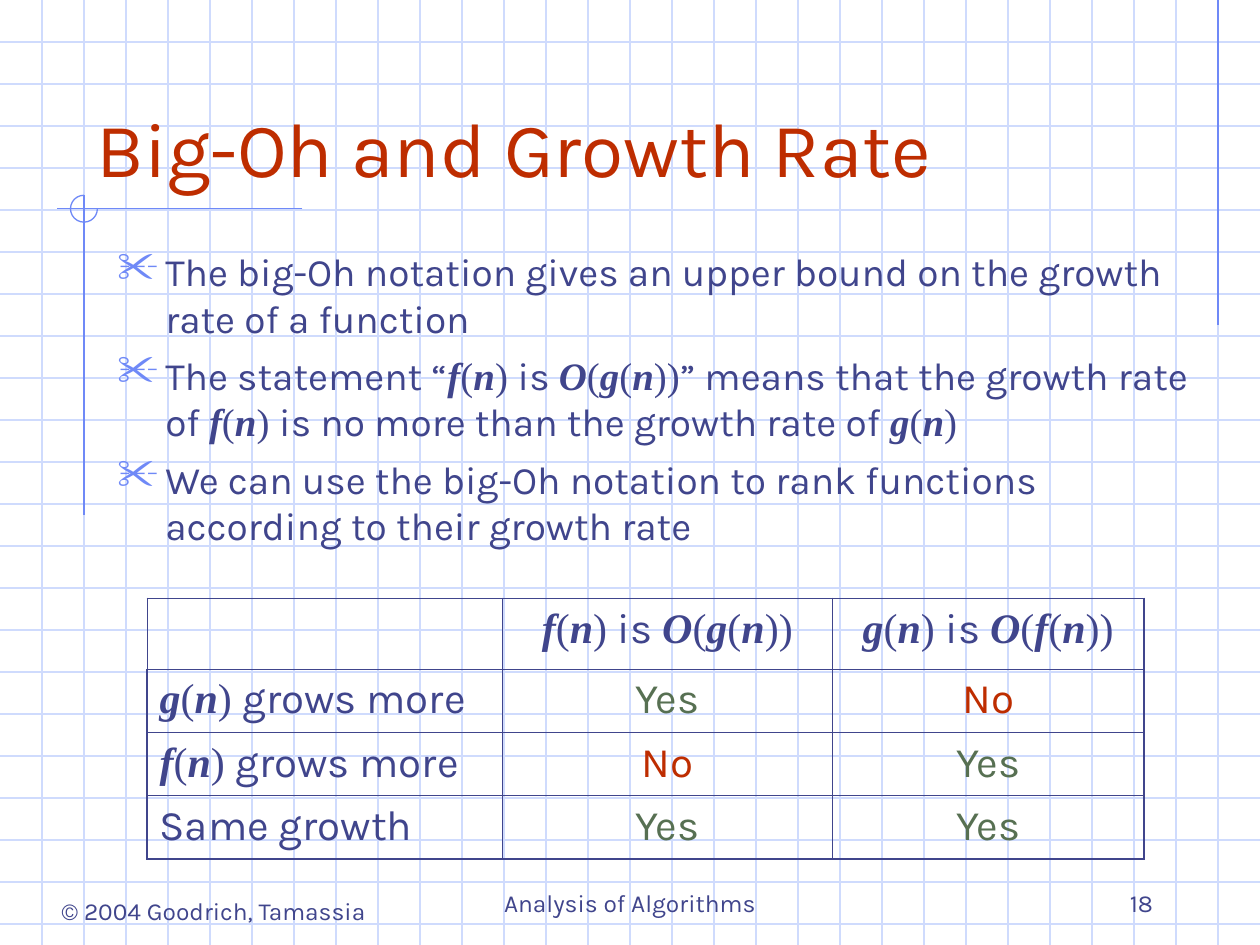
from itertools import groupby

from lxml import etree
from pptx import Presentation
from pptx.dml.color import RGBColor
from pptx.enum.shapes import MSO_CONNECTOR, MSO_SHAPE
from pptx.enum.text import MSO_ANCHOR, PP_ALIGN
from pptx.oxml.ns import qn
from pptx.util import Inches, Pt

LEFT, CENTER, RIGHT = PP_ALIGN.LEFT, PP_ALIGN.CENTER, PP_ALIGN.RIGHT
TOP, BOTTOM = MSO_ANCHOR.TOP, MSO_ANCHOR.BOTTOM
STRAIGHT, ARC = MSO_CONNECTOR.STRAIGHT, MSO_SHAPE.ARC

GRID_BLUE = RGBColor(0xCF, 0xDB, 0xFD)
ACCENT = RGBColor(0x6F, 0x89, 0xF7)
INK = RGBColor(0x40, 0x45, 0x8C)
RED = RGBColor(0xBE, 0x2D, 0x00)
GREEN = RGBColor(0x57, 0x70, 0x52)

# The page is squared paper: three squares to the inch
COLUMNS, ROWS = 30, 22.5


def squares(count):
    return Inches(count / 3)


class SquaredPage:
    font, math_font = "Karla", "Times New Roman"
    hairline, thin, thick = 0.75, 0.45, 1.08

    def __init__(self, page):
        self.page = page

    def line(self, x1, y1, x2, y2, color=ACCENT):
        line = self.page.shapes.add_connector(
            STRAIGHT, squares(x1), squares(y1), squares(x2), squares(y2))
        line.line.color.rgb = color
        line.line.width = Pt(self.hairline)
        etree.SubElement(line._element.spPr, qn("a:effectLst"))

    def arc(self, x, y, size, start, end):
        arc = self.page.shapes.add_shape(
            ARC, squares(x), squares(y), squares(size), squares(size))
        # Angles are kept in 60000ths of a degree, adjustments in 100000ths
        arc.adjustments[0], arc.adjustments[1] = start * 0.6, end * 0.6
        arc.shadow.inherit = False
        arc.fill.background()
        arc.line.color.rgb = ACCENT
        arc.line.width = Pt(self.hairline)

    def add_spans(self, para, text, size, color):
        """Parts between $ signs are formulas: bold italic letters, plain signs."""
        for index, part in enumerate(text.split("$")):
            is_math = index % 2 == 1
            pieces = groupby(part, str.isalpha) if is_math else [(False, part)]
            for is_letter, piece in pieces:
                piece = "".join(piece)
                if not piece:
                    continue
                span = para.add_run()
                span.text = piece
                span.font.name = self.math_font if is_math else self.font
                span.font.size = Pt(size)
                span.font.color.rgb = color
                span.font.bold = span.font.italic = is_letter

    def text(self, x, y, width, height, text, size, color=INK,
             align=LEFT, anchor=BOTTOM, wrap=True):
        box = self.page.shapes.add_textbox(
            squares(x), squares(y), squares(width), squares(height))
        frame = box.text_frame
        frame.word_wrap = wrap
        frame.vertical_anchor = anchor
        para = frame.paragraphs[0]
        para.alignment = align
        self.add_spans(para, text, size, color)
        return frame

    def bullets(self, x, y, width, height, items, size):
        frame = self.text(x, y, width, height, items[0], size, anchor=TOP)
        for item in items[1:]:
            self.add_spans(frame.add_paragraph(), item, size, INK)
        for para in frame.paragraphs:
            para.space_before = Pt(6)
            props = para._p.get_or_add_pPr()
            props.set("marL", str(Inches(0.38)))
            props.set("indent", str(-Inches(0.38)))
            bullet_color = etree.SubElement(props, qn("a:buClr"))
            etree.SubElement(bullet_color, qn("a:srgbClr"), val=str(ACCENT))
            etree.SubElement(props, qn("a:buSzPct"), val="110000")
            etree.SubElement(props, qn("a:buChar"), char="✂")

    def border(self, cell, side, width):
        edge = etree.SubElement(cell._tc.get_or_add_tcPr(), qn("a:ln" + side),
                                w=str(Pt(width)))
        fill = etree.SubElement(edge, qn("a:solidFill"))
        etree.SubElement(fill, qn("a:srgbClr"), val=str(INK))

    def table(self, x, y, widths, heights, rows, size, colors):
        table = self.page.shapes.add_table(
            len(heights), len(widths), squares(x), squares(y),
            squares(sum(widths)), squares(sum(heights))).table
        table.first_row = table.horz_banding = False
        for column, width in zip(table.columns, widths):
            column.width = squares(width)
        for row, height in zip(table.rows, heights):
            row.height = squares(height)
        last_row, last_column = len(heights) - 1, len(widths) - 1
        for r, row in enumerate(rows):
            for c, text in enumerate(row):
                cell = table.cell(r, c)
                para = cell.text_frame.paragraphs[0]
                para.alignment = CENTER if c else LEFT
                para.space_before = Pt(6)
                self.add_spans(para, text, size, colors.get(text, INK))
                # Outer edges are thick, except beside the empty corner
                outer = {"L": c == 0 and r > 0, "R": c == last_column,
                         "T": r == 0, "B": r == last_row}
                for side, is_outer in outer.items():
                    self.border(cell, side, self.thick if is_outer else self.thin)
                cell.fill.background()


def main():
    deck = Presentation()
    deck.slide_width, deck.slide_height = squares(COLUMNS), squares(ROWS)
    sheet = SquaredPage(deck.slides.add_slide(deck.slide_layouts[6]))

    # Squared paper
    for row in range(1, int(ROWS) + 1):
        sheet.line(0, row, COLUMNS, row, GRID_BLUE)
    for column in range(1, COLUMNS):
        sheet.line(column, 0, column, ROWS, GRID_BLUE)

    # Margin lines and the ring where they cross
    sheet.line(29, 0, 29, 7.75)
    sheet.line(7.2, 4.97, 1.36, 4.97)
    sheet.line(2, 4.65, 2, 12.27)
    sheet.arc(1.68, 4.65, 0.64, 0, 270)

    # Footer
    sheet.text(1.02, 21.18, 8.13, 1.02, "© 2004 Goodrich, Tamassia", 14,
               align=CENTER, anchor=TOP, wrap=False)
    sheet.text(10.25, 20.5, 9.5, 1.5, "Analysis of Algorithms", 14, align=CENTER)
    sheet.text(21.5, 20.5, 6.25, 1.5, "18", 14, align=RIGHT)

    # Title and body
    sheet.text(2, 1, 25.5, 3.75, "Big-Oh and Growth Rate", 44, RED)
    sheet.bullets(2.5, 5.75, 26.25, 8.5, [
        "The big-Oh notation gives an upper bound on the growth rate of a function",
        "The statement “$f(n) $is $O(g(n))$” means that the growth rate of "
        "$f(n) $is no more than the growth rate of $g(n)$",
        "We can use the big-Oh notation to rank functions according to their "
        "growth rate",
    ], 22.2)

    # Comparison of growth rates
    sheet.table(3.5, 14.25, [8.46, 7.86, 7.42], [1.68, 1.51, 1.51, 1.51], [
        ["", "$f(n) $is $O(g(n))$", "$g(n) $is $O(f(n))$"],
        ["$g(n) $grows more", "Yes", "No"],
        ["$f(n) $grows more", "No", "Yes"],
        ["Same growth", "Yes", "Yes"],
    ], 24, {"Yes": GREEN, "No": RED})

    deck.save("out.pptx")


if __name__ == "__main__":
    main()
